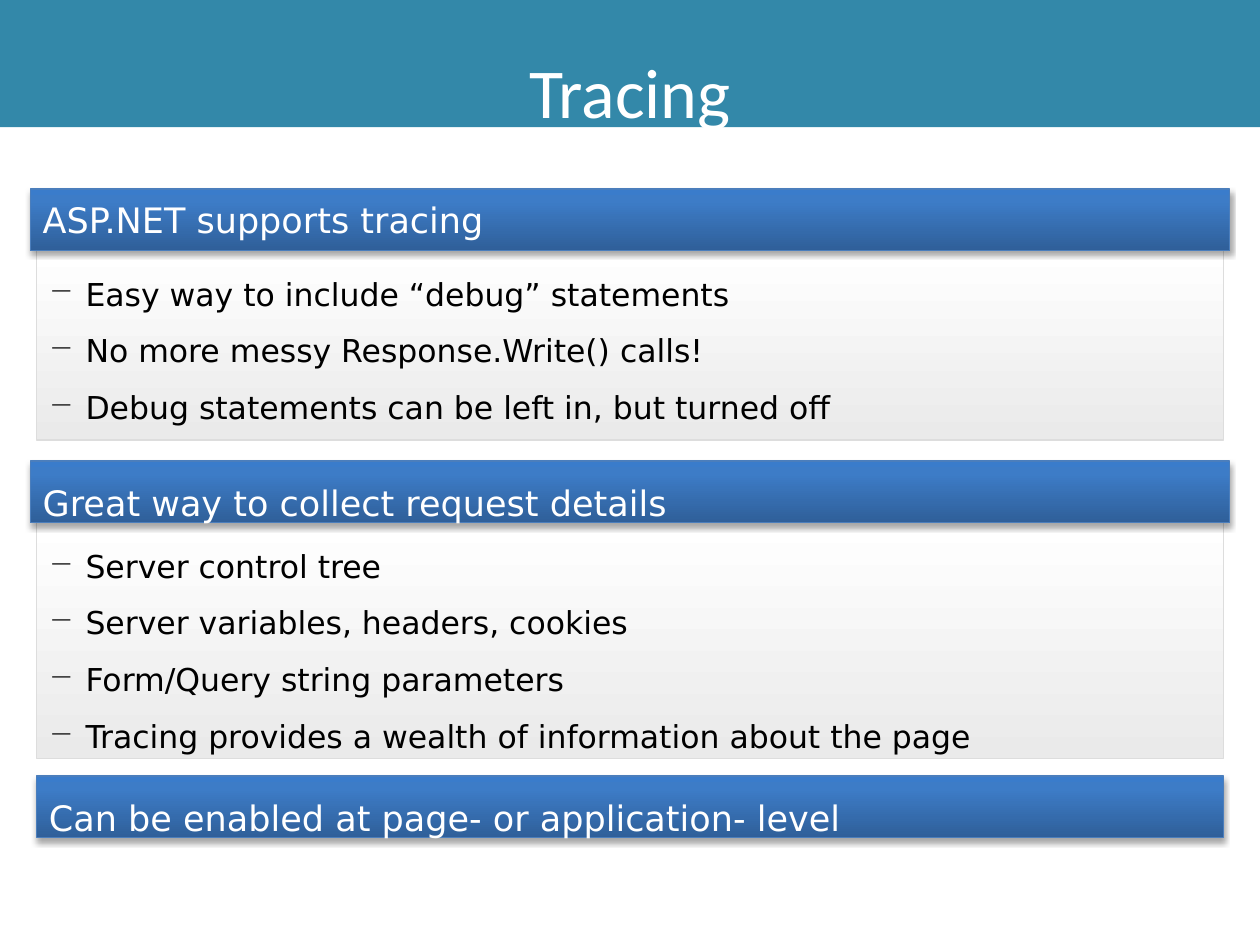
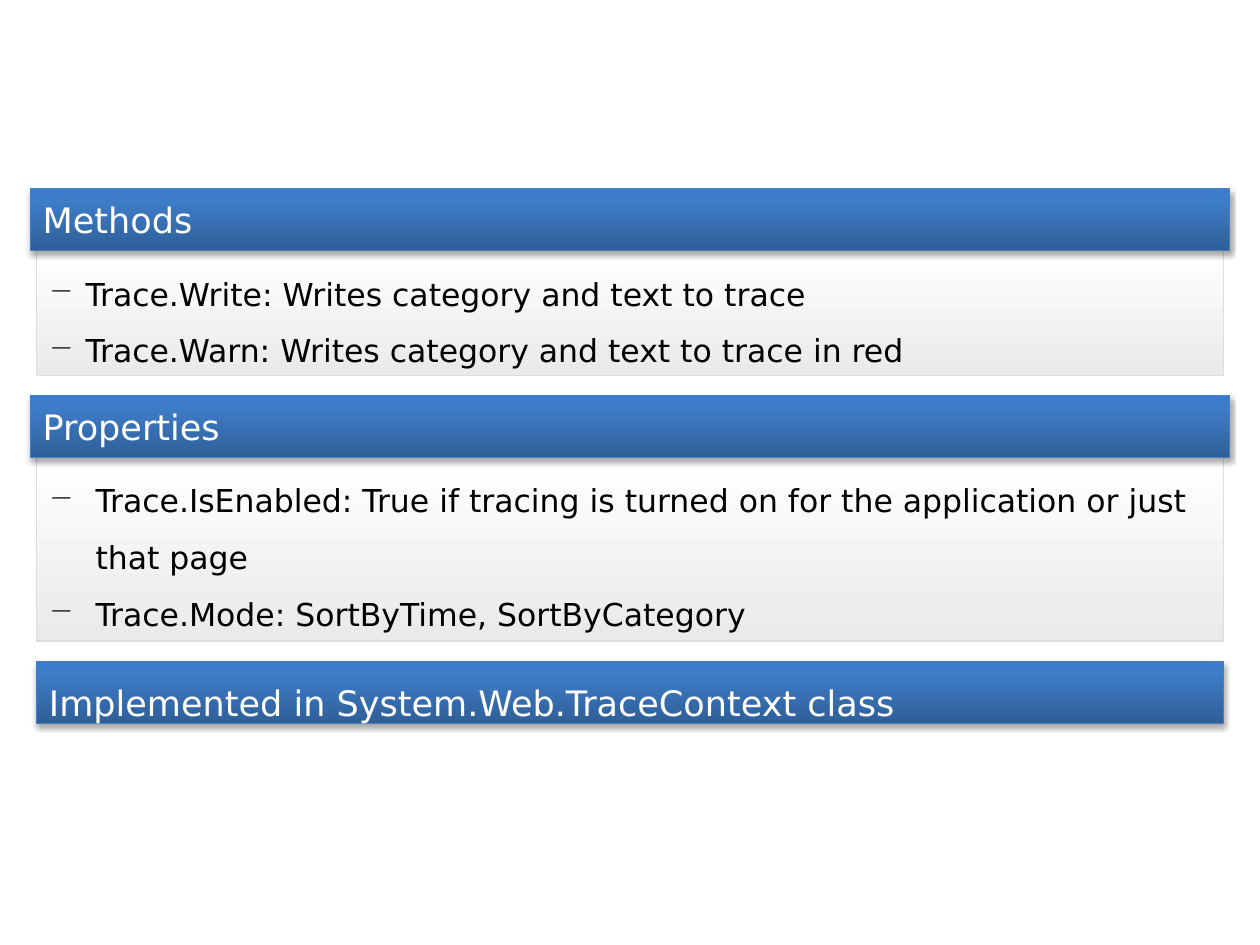
from dataclasses import dataclass

from lxml import etree
from pptx import Presentation
from pptx.dml.color import RGBColor
from pptx.enum.shapes import MSO_SHAPE
from pptx.enum.text import MSO_ANCHOR, PP_ALIGN
from pptx.oxml.ns import qn
from pptx.util import Inches, Pt

RECTANGLE = MSO_SHAPE.RECTANGLE
TOP, MIDDLE = MSO_ANCHOR.TOP, MSO_ANCHOR.MIDDLE
LEFT, CENTER = PP_ALIGN.LEFT, PP_ALIGN.CENTER


@dataclass(frozen=True)
class Theme:
    title_fill: str = "3388A9"
    light_text: str = "FFFFFF"
    dark_text: str = "000000"
    bullet: str = "292929"
    bar_stops: tuple = ((0, "2F5F99"), (80, "3D7CC7"), (100, "3A7CCB"))
    bar_line: str = "4B7EBC"
    panel_stops: tuple = ((0, "FFFFFF"), (100, "EAEAEA"))
    panel_line: str = "DDDDDD"
    title_font: str = "Calibri"
    body_font: str = "DejaVu Sans"
    title_size: int = 40
    heading_size: int = 20
    point_size: int = 18
    wide_spacing: float = 1.5


THEME = Theme()

# Shared layout, in inches
WIDTH, HEIGHT = 10, 7.5
SECTION_LEFT, SECTION_WIDTH = 0.24, 9.52
PANEL_INSET = 0.05
BAR_HEIGHT = 0.49
OVERLAP = 0.01
SECTION_TOP = 1.5


def add_child(parent, tag, **attributes):
    child = etree.SubElement(parent, qn(tag))
    for name, value in attributes.items():
        child.set(name, str(value))
    return child


def add_box(slide, left, top, width, height, anchor):
    shape = slide.shapes.add_shape(
        RECTANGLE, Inches(left), Inches(top), Inches(width), Inches(height))
    shape.shadow.inherit = False
    shape.text_frame.word_wrap = True
    shape.text_frame.vertical_anchor = anchor
    return shape


def set_gradient(shape, stops, angle):
    """Fill with the stops; the angle runs counter-clockwise."""
    shape.fill.gradient()
    shape.fill.gradient_angle = angle
    stop_list = shape._element.spPr.find(qn("a:gradFill")).find(qn("a:gsLst"))
    for stop in list(stop_list):
        stop_list.remove(stop)
    for position, color in stops:
        stop = add_child(stop_list, "a:gs", pos=position * 1000)
        add_child(stop, "a:srgbClr", val=color)


def set_line(shape, color, width):
    shape.line.color.rgb = RGBColor.from_string(color)
    shape.line.width = Pt(width)


def add_shadow(shape):
    effects = shape._element.spPr.find(qn("a:effectLst"))
    shadow = add_child(effects, "a:outerShdw", blurRad=Pt(3.1), dist=Pt(1.8),
                       dir=5400000, rotWithShape=0)
    color = add_child(shadow, "a:srgbClr", val="000000")
    add_child(color, "a:alpha", val=35000)


def write(paragraph, text, font, size, color, spacing, alignment=LEFT):
    paragraph.alignment = alignment
    paragraph.line_spacing = spacing
    run = paragraph.add_run()
    run.text = text
    run.font.name = font
    run.font.size = Pt(size)
    run.font.color.rgb = RGBColor.from_string(color)


def add_bullet(paragraph, indent):
    paragraph.level = 1
    properties = paragraph._p.get_or_add_pPr()
    properties.set("marL", str(Inches(indent)))
    properties.set("indent", str(-Inches(indent)))
    color = add_child(properties, "a:buClr")
    add_child(color, "a:srgbClr", val=THEME.bullet)
    add_child(properties, "a:buChar", char="\u2212")


def title_band(slide, text):
    band = add_box(slide, 0, 0, WIDTH, 1.01, TOP)
    band.fill.solid()
    band.fill.fore_color.rgb = RGBColor.from_string(THEME.title_fill)
    band.line.fill.background()
    write(band.text_frame.paragraphs[0], text, THEME.title_font,
          THEME.title_size, THEME.light_text, THEME.wide_spacing, CENTER)


def heading_bar(slide, left, top, width, text, spacing=1.0):
    bar = add_box(slide, left, top, width, BAR_HEIGHT, MIDDLE)
    set_gradient(bar, THEME.bar_stops, 90)
    set_line(bar, THEME.bar_line, 0.75)
    add_shadow(bar)
    write(bar.text_frame.paragraphs[0], text, THEME.body_font,
          THEME.heading_size, THEME.light_text, spacing)


def points_panel(slide, left, top, width, height, points, indent):
    panel = add_box(slide, left, top, width, height, TOP)
    set_gradient(panel, THEME.panel_stops, 270)
    set_line(panel, THEME.panel_line, 1)
    frame = panel.text_frame
    for number, point in enumerate(points):
        paragraph = frame.add_paragraph() if number else frame.paragraphs[0]
        write(paragraph, point, THEME.body_font, THEME.point_size,
              THEME.dark_text, THEME.wide_spacing)
        add_bullet(paragraph, indent)


def section(slide, top, panel_height, heading, points,
            heading_spacing=1.0, indent=0.29):
    """A panel of points with its heading bar laid over the upper edge."""
    points_panel(slide, SECTION_LEFT + PANEL_INSET, top + BAR_HEIGHT - OVERLAP,
                 SECTION_WIDTH - 2 * PANEL_INSET, panel_height, points, indent)
    heading_bar(slide, SECTION_LEFT, top, SECTION_WIDTH, heading,
                heading_spacing)


def closing_bar(slide, top, text):
    heading_bar(slide, SECTION_LEFT + PANEL_INSET, top,
                SECTION_WIDTH - 2 * PANEL_INSET, text, THEME.wide_spacing)


def tracing_slide(slide):
    title_band(slide, "Tracing")
    section(slide, SECTION_TOP, 1.51, "ASP.NET supports tracing", [
        "Easy way to include \u201cdebug\u201d statements",
        "No more messy Response.Write() calls!",
        "Debug statements can be left in, but turned off",
    ])
    section(slide, 3.66, 1.88, "Great way to collect request details", [
        "Server control tree",
        "Server variables, headers, cookies",
        "Form/Query string parameters",
        "Tracing provides a wealth of information about the page",
    ], heading_spacing=THEME.wide_spacing)
    closing_bar(slide, 6.16, "Can be enabled at page- or application- level")


def trace_members_slide(slide):
    section(slide, SECTION_TOP, 1, "Methods", [
        "Trace.Write: Writes category and text to trace",
        "Trace.Warn: Writes category and text to trace in red",
    ])
    section(slide, 3.14, 1.47, "Properties", [
        "Trace.IsEnabled: True if tracing is turned on for the application "
        "or just that page",
        "Trace.Mode: SortByTime, SortByCategory",
    ], indent=0.37)
    closing_bar(slide, 5.25, "Implemented in System.Web.TraceContext class")


presentation = Presentation()
presentation.slide_width = Inches(WIDTH)
presentation.slide_height = Inches(HEIGHT)
blank_layout = presentation.slide_layouts[6]
for build in (tracing_slide, trace_members_slide):
    build(presentation.slides.add_slide(blank_layout))
presentation.save("out.pptx")
